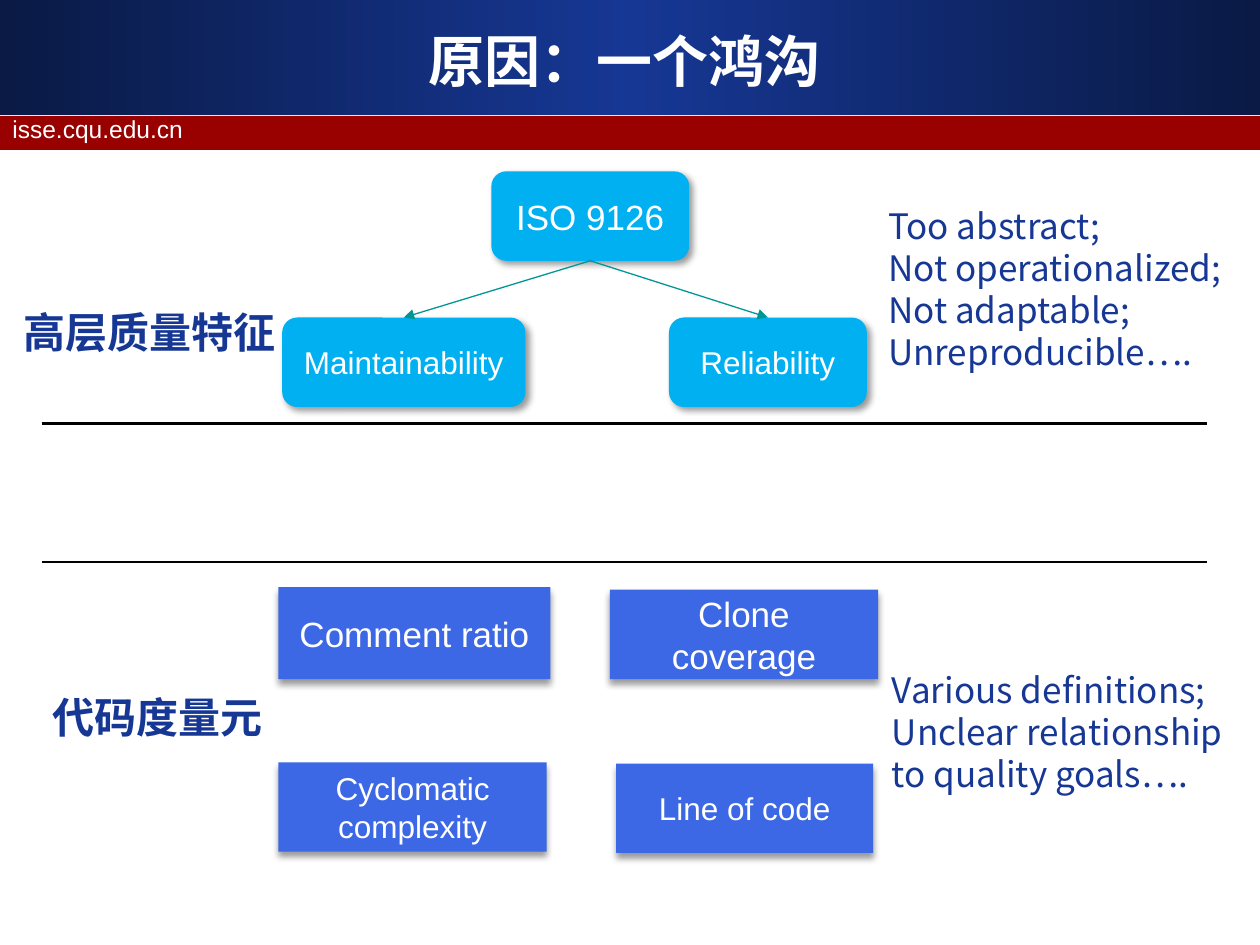
from lxml import etree
from pptx import Presentation
from pptx.dml.color import RGBColor
from pptx.enum.shapes import MSO_CONNECTOR, MSO_SHAPE
from pptx.enum.text import MSO_ANCHOR, PP_ALIGN
from pptx.oxml import parse_xml
from pptx.oxml.ns import nsdecls, qn
from pptx.util import Inches, Pt

RECT, ROUND = MSO_SHAPE.RECTANGLE, MSO_SHAPE.ROUNDED_RECTANGLE
STRAIGHT = MSO_CONNECTOR.STRAIGHT
LEFT, CENTER = PP_ALIGN.LEFT, PP_ALIGN.CENTER
TOP, MIDDLE = MSO_ANCHOR.TOP, MSO_ANCHOR.MIDDLE
TOP_SITE, BOTTOM_SITE = 0, 2

THEME = {
    "navy": "163794", "navy_dark": "0A1A45", "red": "990000",
    "white": "FFFFFF", "black": "000000", "teal": "009696",
    "quality": "00B0F0", "metric": "3D68E5",
    "title": 32, "heading": 24, "body": 20, "small": 18, "url": 14,
    "latin": "Arial", "title_font": "DejaVu Sans", "cjk": "Noto Sans CJK SC",
}


def color(name):
    return RGBColor.from_string(THEME[name])


def write(sp, text, size, ink="white", font="latin", bold=False,
          align=CENTER, anchor=MIDDLE, wrap=True):
    """Set the text of a shape and format every run; CJK-font text gets a fixed pitch."""
    tf = sp.text_frame
    tf.text = text
    tf.word_wrap = wrap
    tf.vertical_anchor = anchor
    for p in tf.paragraphs:
        p.alignment = align
        if font == "cjk":
            p.line_spacing = Pt(THEME[size] * 1.2)
        for r in p.runs:
            r.font.size = Pt(THEME[size])
            r.font.name = THEME[font]
            r.font.bold = bold
            r.font.color.rgb = color(ink)
            ea = etree.SubElement(r.font._element, qn("a:ea"))
            ea.set("typeface", THEME["cjk"])


prs = Presentation()
prs.slide_width, prs.slide_height = Inches(10), Inches(7.5)
s = prs.slides.add_slide(prs.slide_layouts[5])
shapes = s.shapes

# Header bands
for top, height in ((0, 0.91), (0.92, 0.27)):
    band = shapes.add_shape(RECT, 0, Inches(top), prs.slide_width, Inches(height))
    band.shadow.inherit = False
    band.line.fill.background()
    if top:
        band.fill.solid()
        band.fill.fore_color.rgb = color("red")
    else:
        band.fill.gradient()
        band.fill.gradient_angle = 0
        stops = band.fill._fill._gradFill.find(qn("a:gsLst"))
        stops.clear()
        for pos, name in ((0, "navy_dark"), (50, "navy"), (100, "navy_dark")):
            stops.append(parse_xml(
                f'<a:gs {nsdecls("a")} pos="{pos * 1000}">'
                f'<a:srgbClr val="{THEME[name]}"/></a:gs>'))

# Title, brought in front of the bands
title = shapes.title
title.left, title.top = Inches(0.33), Inches(0.17)
title.width, title.height = Inches(9.25), Inches(0.62)
write(title, "原因：一个鸿沟", "title", font="title_font", bold=True)
title.element.getparent().append(title.element)

# Plain text: site address, row headings, remarks
heading = dict(size="heading", ink="navy", font="cjk", bold=True, wrap=False)
remark = dict(size="body", ink="navy", font="cjk")
TEXTS = [
    (0, 0.86, 9.61, 0.34, "isse.cqu.edu.cn", dict(size="url")),
    (0.09, 2.38, 2.22, 0.5, "高层质量特征", heading),
    (0.32, 5.44, 1.88, 0.5, "代码度量元", heading),
    (6.95, 1.57, 3.02, 1.45, "Too abstract;\nNot operationalized;\n"
     "Not adaptable;\nUnreproducible….", remark),
    (6.98, 5.26, 3.02, 1.11, "Various definitions;\n"
     "Unclear relationship to quality goals….", remark),
]
for x, y, w, h, text, style in TEXTS:
    box = shapes.add_textbox(*map(Inches, (x, y, w, h)))
    write(box, text, align=LEFT, anchor=TOP, **style)

# Quality characteristics (rounded) and code metrics (square)
BOXES = [
    (3.9, 1.36, 1.57, 0.71, "ISO 9126", "body", "quality"),
    (2.24, 2.52, 1.93, 0.71, "Maintainability", "small", "quality"),
    (5.31, 2.52, 1.57, 0.71, "Reliability", "small", "quality"),
    (2.21, 4.66, 2.16, 0.73, "Comment ratio", "body", "metric"),
    (4.84, 4.68, 2.13, 0.71, "Clone coverage", "body", "metric"),
    (2.21, 6.05, 2.13, 0.71, "Cyclomatic complexity", "small", "metric"),
    (4.89, 6.06, 2.04, 0.71, "Line of code", "small", "metric"),
]
nodes = {}
for x, y, w, h, text, size, kind in BOXES:
    preset, angle = (ROUND, 45) if kind == "quality" else (RECT, 90)
    sp = shapes.add_shape(preset, *map(Inches, (x, y, w, h)))
    sp.fill.solid()
    sp.fill.fore_color.rgb = color(kind)
    sp.line.fill.background()
    sp.shadow.inherit = False
    sp.element.spPr.find(qn("a:effectLst")).append(parse_xml(
        f'<a:outerShdw {nsdecls("a")} blurRad="{Pt(4)}" dist="{Pt(3)}" '
        f'dir="{angle * 60000}" algn="ctr" rotWithShape="0">'
        f'<a:srgbClr val="{THEME["black"]}"><a:alpha val="40000"/></a:srgbClr>'
        '</a:outerShdw>'))
    write(sp, text, size)
    nodes[text] = sp

# Arrows from the standard to its characteristics, then the edges of the gap
lines = []
for target in ("Maintainability", "Reliability"):
    arrow = shapes.add_connector(STRAIGHT, 0, 0, 0, 0)
    arrow.begin_connect(nodes["ISO 9126"], BOTTOM_SITE)
    arrow.end_connect(nodes[target], TOP_SITE)
    lines.append((arrow, "teal", 0.75))
for y in (3.36, 4.46):
    edge = shapes.add_connector(STRAIGHT, *map(Inches, (0.33, y, 9.58, y)))
    lines.append((edge, "black", 1.5))
for line, ink, width in lines:
    line.line.color.rgb = color(ink)
    line.line.width = Pt(width)
    if ink == "teal":
        etree.SubElement(line.line._get_or_add_ln(), qn("a:tailEnd")).set("type", "triangle")
    etree.SubElement(line.element.spPr, qn("a:effectLst"))

prs.save("out.pptx")
